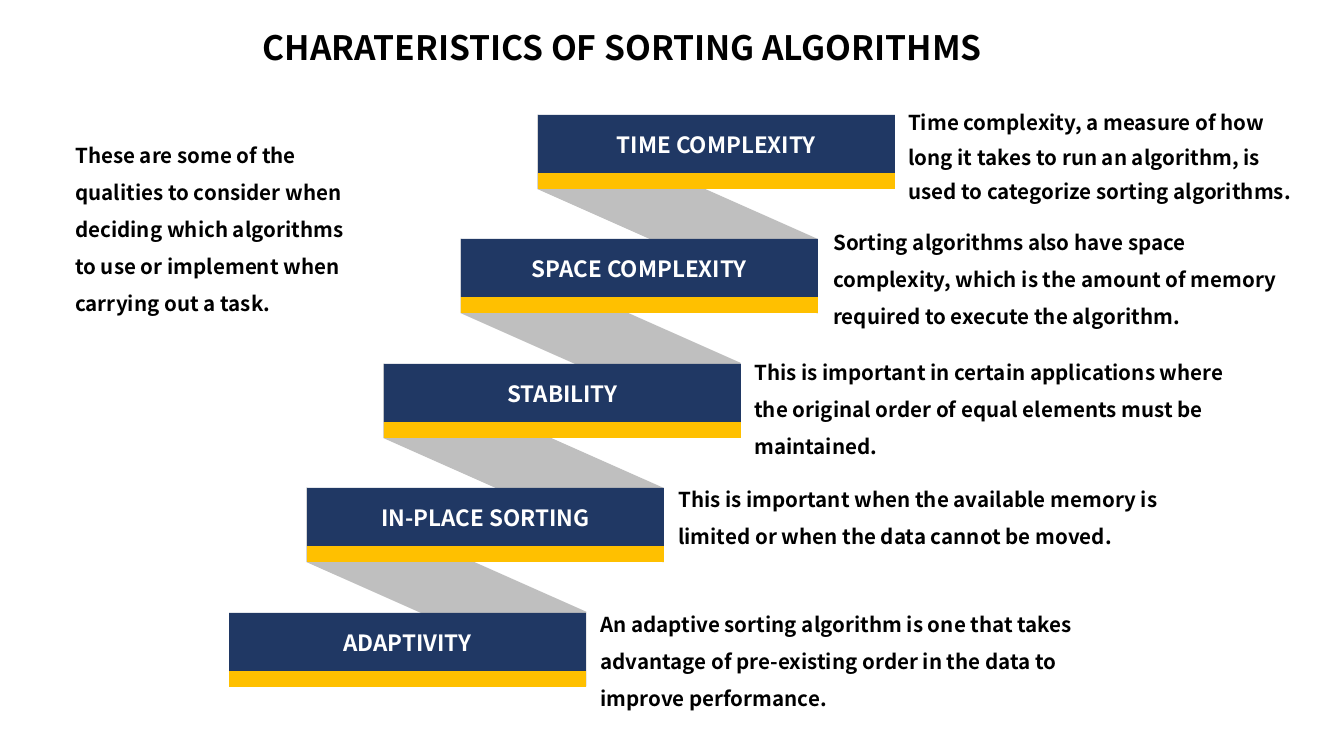
from pptx import Presentation
from pptx.dml.color import RGBColor
from pptx.enum.shapes import MSO_SHAPE
from pptx.enum.text import MSO_ANCHOR, MSO_AUTO_SIZE, PP_ALIGN
from pptx.util import Pt

RECT, SLANT = MSO_SHAPE.RECTANGLE, MSO_SHAPE.PARALLELOGRAM
LEFT, CENTER = PP_ALIGN.LEFT, PP_ALIGN.CENTER
TOP, FIXED = MSO_ANCHOR.TOP, MSO_AUTO_SIZE.NONE
SCALE = 914400 / 134.4
FONT = "Noto Sans CJK SC"
COLORS = {"navy": "203864", "gold": "FFC000", "gray": "BFBFBF",
          "white": "FFFFFF", "black": "000000"}
FRAME = {"word_wrap": True, "auto_size": FIXED, "vertical_anchor": TOP}

TITLE = "CHARATERISTICS OF SORTING ALGORITHMS"
INTRO = ("These are some of the qualities to consider when deciding which "
         "algorithms to use or implement when carrying out a task.")
STEPS = [
    ("TIME COMPLEXITY", (895, 94, 418, 125), 1.4,
     "Time complexity, a measure of how long it takes to run an algorithm, "
     "is used to categorize sorting algorithms."),
    ("SPACE COMPLEXITY", (820, 211, 493, 125), 1.5,
     "Sorting algorithms also have space complexity, which is the amount of "
     "memory required to execute the algorithm."),
    ("STABILITY", (741, 341, 513, 125), 1.5,
     "This is important in certain applications where the original order of "
     "equal elements must be maintained."),
    ("IN-PLACE SORTING", (665, 468, 532, 87), 1.5,
     "This is important when the available memory is limited or when the "
     "data cannot be moved."),
    ("ADAPTIVITY", (587, 593, 524, 125), 1.5,
     "An adaptive sorting algorithm is one that takes advantage of "
     "pre-existing order in the data to improve performance."),
]


def px(*vals):
    return [round(v * SCALE) for v in vals]


def apply(obj, vals):
    for name, val in vals.items():
        setattr(obj, name, val)


class Deck:
    def __init__(self, wide, high):
        self.prs = Presentation()
        self.prs.slide_width, self.prs.slide_height = px(wide, high)
        self.slide = self.prs.slides.add_slide(self.prs.slide_layouts[5])

    def shape(self, kind, box, color, turn=0):
        item = self.slide.shapes.add_shape(kind, *px(*box))
        item.shadow.inherit = False
        item.fill.solid()
        item.fill.fore_color.rgb = RGBColor.from_string(COLORS[color])
        item.line.fill.background()
        item.rotation = turn
        return item

    def letter(self, item, text, size, color, align, space):
        frame = item.text_frame
        frame.text = text
        apply(frame, FRAME)
        para = frame.paragraphs[0]
        apply(para, {"alignment": align, "line_spacing": space})
        font = para.runs[0].font
        apply(font, {"name": FONT, "size": Pt(size), "bold": True})
        font.color.rgb = RGBColor.from_string(COLORS[color])

    def text(self, box, text, size=11, color="black", align=LEFT, space=1.5):
        item = self.slide.shapes.add_textbox(*px(*box))
        self.letter(item, text, size, color, align, space)

    def title(self, box, text):
        item = self.slide.shapes.title
        apply(item, dict(zip(("left", "top", "width", "height"), px(*box))))
        self.letter(item, text, 18, "black", CENTER, 1.0)

    def ribbon(self, x, y):
        item = self.shape(SLANT, (x + 40, y - 41, 199, 280), "gray", 90)
        item.adjustments[0] = 0.625

    def band(self, x, y, label):
        self.shape(RECT, (x, y + 58, 357, 16), "gold")
        self.shape(RECT, (x, y, 357, 58), "navy")
        self.text((x + 21, y + 10, 315, 40), label, 12, "white", CENTER, 1.0)


def main():
    deck = Deck(1344, 756)
    deck.title((228, 20, 789, 66), TITLE)
    spots = [(538 - i * 309 // 4, 115 + i * 249 // 2)
             for i in range(len(STEPS))]
    for spot in spots[:-1]:
        deck.ribbon(*spot)
    for spot, (label, box, space, note) in zip(spots, STEPS):
        deck.band(*spot, label)
        deck.text(box, note, space=space)
    deck.text((62, 124, 305, 200), INTRO)
    deck.prs.save("out.pptx")


if __name__ == "__main__":
    main()
